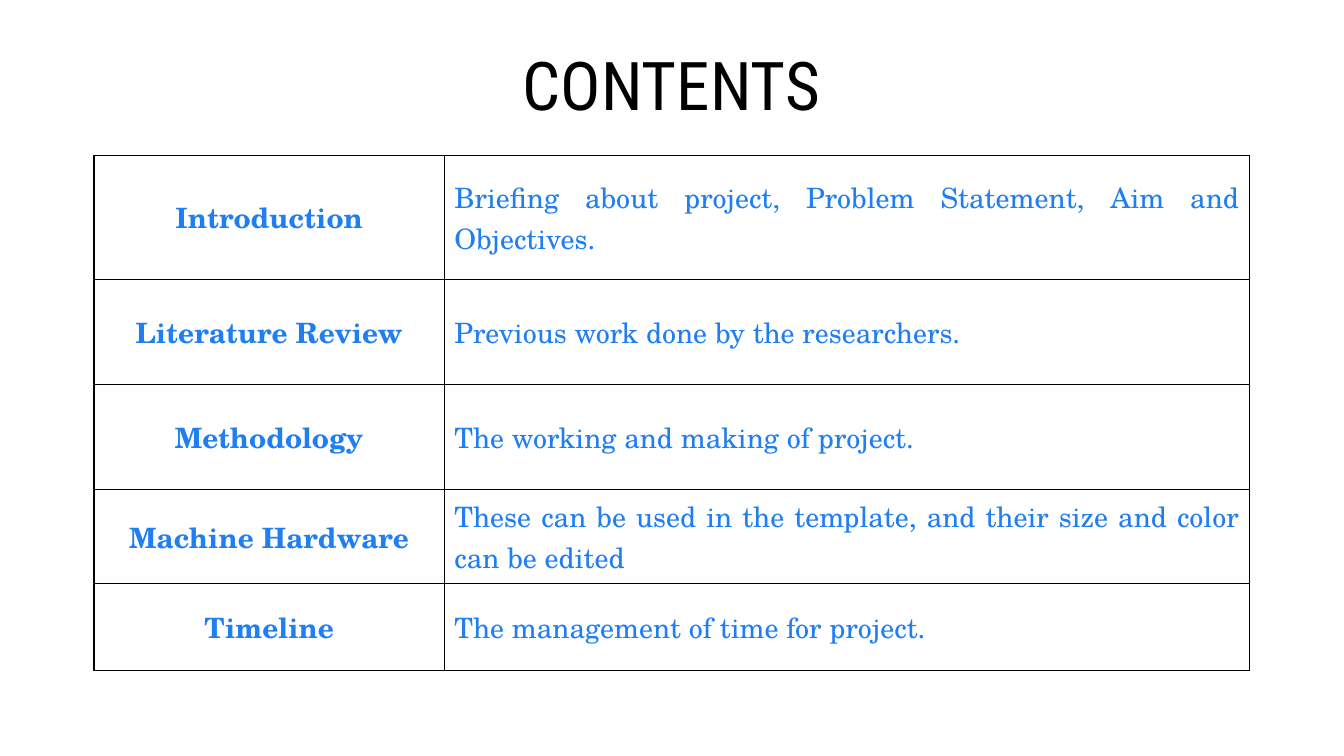
"""Builds the contents slide: a heading above a two-column table of sections."""
from dataclasses import dataclass

from lxml.etree import SubElement
from pptx import Presentation
from pptx.dml.color import RGBColor
from pptx.enum.text import MSO_VERTICAL_ANCHOR as Anchor, PP_PARAGRAPH_ALIGNMENT as Align
from pptx.oxml.ns import qn
from pptx.slide import Slide
from pptx.table import _Cell as Cell
from pptx.text.text import TextFrame
from pptx.util import Cm, Pt

BLACK = "000000"
BLUE = "1F7EF1"
HEADING_FONT = "Roboto Condensed"
TABLE_FONT = "TeX Gyre Schola"
INSET = Cm(0.25)
COLUMN_WIDTHS = (Cm(8.83), Cm(20.29))


@dataclass(frozen=True)
class Section:
    topic: str
    summary: str
    height: float
    space_after: float = 16


SECTIONS = (
    Section("Introduction", "Briefing about project, Problem Statement, Aim and Objectives.", 3.13),
    Section("Literature Review", "Previous work done by the researchers.", 2.65),
    Section("Methodology", "The working and making of project.", 2.65),
    Section("Machine Hardware",
            "These can be used in the template, and their size and color can be edited", 2.37, 0),
    Section("Timeline", "The management of time for project.", 2.18),
)


def color(value: str) -> RGBColor:
    return RGBColor.from_string(value)


def write(frame: TextFrame, text: str, *, font: str, size: float, ink: str,
          align: Align, bold: bool = False, line_spacing: float = 1.0,
          space_after: float = 0) -> None:
    frame.word_wrap = True
    paragraph = frame.paragraphs[0]
    paragraph.alignment = align
    paragraph.line_spacing = line_spacing
    paragraph.space_after = Pt(space_after)
    run = paragraph.add_run()
    run.text = text
    run.font.name = font
    run.font.size = Pt(size)
    run.font.bold = bold
    run.font.color.rgb = color(ink)


def style_cell(cell: Cell) -> None:
    cell.vertical_anchor = Anchor.MIDDLE
    cell.margin_left = cell.margin_right = INSET
    cell.margin_top = cell.margin_bottom = 0
    properties = cell._tc.get_or_add_tcPr()
    for side in ("a:lnL", "a:lnR", "a:lnT", "a:lnB"):
        border = SubElement(properties, qn(side), w=str(Pt(1)))
        SubElement(SubElement(border, qn("a:solidFill")), qn("a:srgbClr"), val=BLACK)
    cell.fill.background()


def add_heading(slide: Slide) -> None:
    heading = slide.shapes.add_textbox(Cm(6.22), Cm(0.94), Cm(21.41), Cm(2.46)).text_frame
    heading.vertical_anchor = Anchor.BOTTOM
    heading.margin_left = heading.margin_right = INSET
    heading.margin_top = heading.margin_bottom = INSET
    write(heading, "CONTENTS", font=HEADING_FONT, size=48, ink=BLACK,
          align=Align.CENTER, line_spacing=0.9)


def add_contents(slide: Slide) -> None:
    total_height = Cm(sum(section.height for section in SECTIONS))
    contents = slide.shapes.add_table(len(SECTIONS), len(COLUMN_WIDTHS), Cm(2.37), Cm(3.91),
                                      sum(COLUMN_WIDTHS), total_height).table
    contents.first_row = contents.horz_banding = False
    for column, width in zip(contents.columns, COLUMN_WIDTHS):
        column.width = width
    for row, section in zip(contents.rows, SECTIONS):
        row.height = Cm(section.height)
        topic, summary = row.cells
        for cell in (topic, summary):
            style_cell(cell)
        write(topic.text_frame, section.topic, font=TABLE_FONT, size=20, ink=BLUE,
              align=Align.CENTER, bold=True)
        write(summary.text_frame, section.summary, font=TABLE_FONT, size=20, ink=BLUE,
              align=Align.JUSTIFY, space_after=section.space_after)


def main() -> None:
    deck = Presentation()
    deck.slide_width, deck.slide_height = Cm(33.87), Cm(19.05)
    slide = deck.slides.add_slide(deck.slide_layouts[6])
    add_heading(slide)
    add_contents(slide)
    deck.save("out.pptx")


if __name__ == "__main__":
    main()
